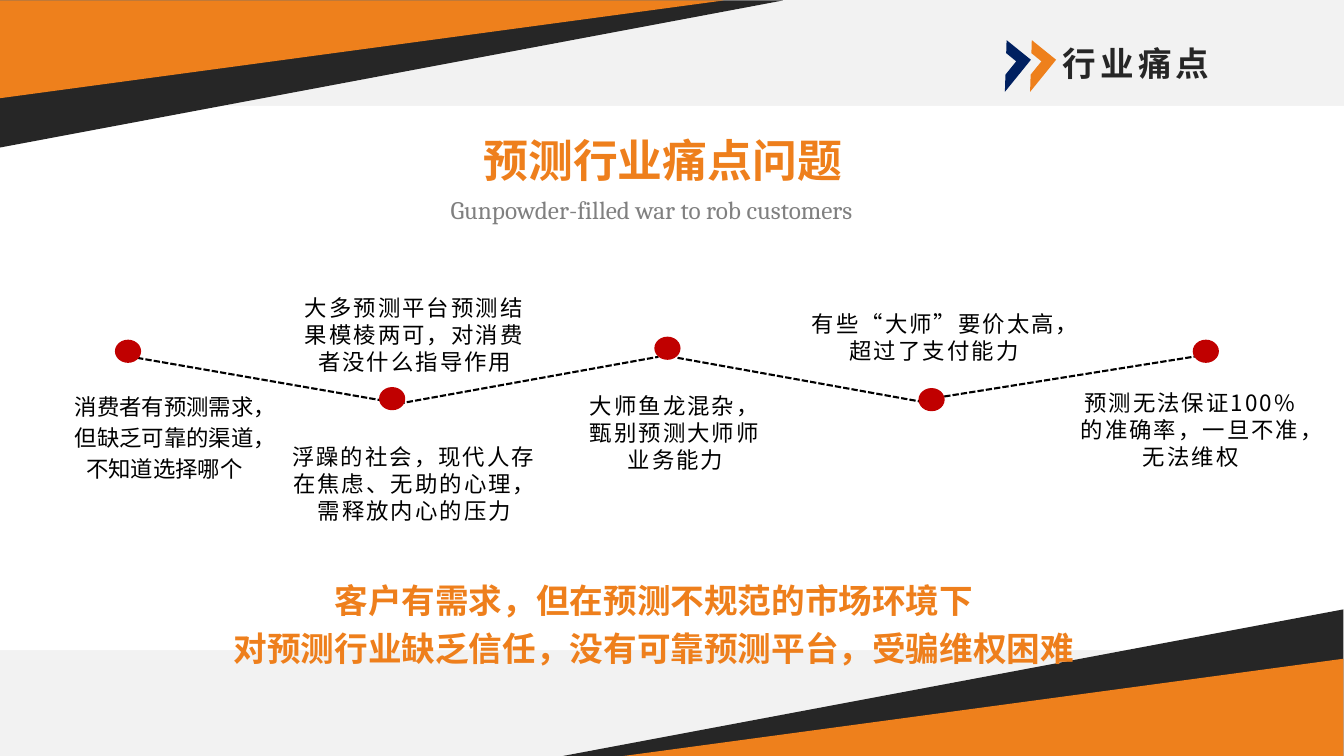
from lxml import etree
from pptx import Presentation
from pptx.dml.color import RGBColor
from pptx.enum.dml import MSO_LINE
from pptx.enum.shapes import MSO_CONNECTOR, MSO_SHAPE
from pptx.enum.text import MSO_ANCHOR, MSO_AUTO_SIZE, PP_ALIGN
from pptx.oxml.ns import qn
from pptx.util import Emu, Pt

RECTANGLE, TRIANGLE = MSO_SHAPE.RECTANGLE, MSO_SHAPE.RIGHT_TRIANGLE
OVAL, CHEVRON = MSO_SHAPE.OVAL, MSO_SHAPE.HALF_FRAME
STRAIGHT, DASH = MSO_CONNECTOR.STRAIGHT, MSO_LINE.SQUARE_DOT
TOP, MIDDLE = MSO_ANCHOR.TOP, MSO_ANCHOR.MIDDLE
LEFT, CENTER = PP_ALIGN.LEFT, PP_ALIGN.CENTER
FIXED, GROW = MSO_AUTO_SIZE.NONE, MSO_AUTO_SIZE.SHAPE_TO_FIT_TEXT

PX = 9144
WIDTH, HEIGHT = 1333, 750
CJK = "Noto Sans CJK SC"
COLORS = {
    "paper": "F2F2F2", "white": "FFFFFF", "charcoal": "262626",
    "orange": "EE801C", "heading": "EE7F1C", "red": "C00000",
    "navy": "002060", "gray": "808080", "black": "000000",
}

CORNERS = [
    (0, 0, 777, 146, 90, "charcoal"),
    (0, 0, 718, 97, 90, "orange"),
    (556, 604, 777, 146, 270, "charcoal"),
    (615, 653, 718, 97, 270, "orange"),
]
LINKS = [
    (136, 355, 389, 399), (387, 402, 653, 354),
    (672, 355, 922, 400), (920, 396, 1196, 352),
]
DOTS = [(114, 337), (376, 384), (649, 334), (911, 385), (1183, 337)]
CAPTIONS = [
    ((284, 287, 255, 91), ["大多预测平台预测结果模棱两可，对消费者没什么指导作用"]),
    ((568, 384, 204, 91), ["大师鱼龙混杂，甄别预测大师师业务能力"]),
    ((786, 303, 281, 64), ["有些“大师”要价太高，超过了支付能力"]),
    ((1056, 381, 250, 91), ["预测无法保证100%的准确率，一旦不准，无法维权"]),
    ((272, 435, 278, 91), ["浮躁的社会，现代人存在焦虑、无助的心理，", "需释放内心的压力"]),
]


class SlideBuilder:
    """Draws styled elements on one slide, measured in px."""

    def __init__(self, presentation):
        self.slide = presentation.slides.add_slide(presentation.slide_layouts[5])

    def box(self, *lengths):
        return [Emu(length * PX) for length in lengths]

    def color(self, name):
        return RGBColor.from_string(COLORS[name])

    def apply(self, target, values):
        for name, value in values.items():
            setattr(target, name, value)

    def background(self, color):
        fill = self.slide.background.fill
        fill.solid()
        fill.fore_color.rgb = self.color(color)

    def shape(self, kind, box, color, rotation=0):
        shape = self.slide.shapes.add_shape(kind, *self.box(*box))
        shape.shadow.inherit = False
        shape.rotation = rotation
        shape.fill.solid()
        shape.fill.fore_color.rgb = self.color(color)
        shape.line.fill.background()

    def corner(self, left, top, width, height, rotation, color):
        shift = (width - height) // 2
        self.shape(TRIANGLE, (left + shift, top - shift, height, width), color, rotation)

    def link(self, *ends):
        connector = self.slide.shapes.add_connector(STRAIGHT, *self.box(*ends))
        self.apply(connector.line, {"width": Pt(1.5), "dash_style": DASH})
        connector.line.color.rgb = self.color("black")
        etree.SubElement(connector.element.spPr, qn("a:effectLst"))

    def title(self, box, lines, **style):
        title = self.slide.shapes.title
        self.slide.shapes.element.append(title.element)
        names = ("left", "top", "width", "height")
        self.apply(title, dict(zip(names, self.box(*box))))
        self.fill_text(title, lines, **style)

    def text(self, box, lines, **style):
        self.fill_text(self.slide.shapes.add_textbox(*self.box(*box)), lines, **style)

    def fill_text(self, shape, lines, size, color, font=CJK, bold=False, spacing=0,
                  line_spacing=1.0, align=CENTER, anchor=TOP, fit=FIXED, wrap=True):
        frame = shape.text_frame
        self.apply(frame, {"word_wrap": wrap, "auto_size": fit, "vertical_anchor": anchor})
        frame.text = "\n".join(lines)
        for paragraph in frame.paragraphs:
            self.apply(paragraph, {"alignment": align, "line_spacing": line_spacing})
            run = paragraph.runs[0]
            self.apply(run.font, {"size": Pt(size), "name": font, "bold": bold})
            run.font.color.rgb = self.color(color)
            properties = run.font._element
            properties.set("lang", "zh-CN")
            properties.set("spc", str(spacing))
            etree.SubElement(properties, qn("a:ea"), typeface=CJK)


def main():
    presentation = Presentation()
    presentation.slide_width = Emu(WIDTH * PX)
    presentation.slide_height = Emu(HEIGHT * PX)
    builder = SlideBuilder(presentation)

    builder.background("paper")
    builder.shape(RECTANGLE, (0, 105, WIDTH, 540), "white")
    for corner in CORNERS:
        builder.corner(*corner)

    for link in LINKS:
        builder.link(*link)
    for left, top in DOTS:
        builder.shape(OVAL, (left, top, 26, 23), "red")

    builder.text((57, 381, 212, 103), ["消费者有预测需求，但缺乏可靠的渠道，不知道选择哪个"],
                 size=16, color="black", line_spacing=1.15, fit=GROW)
    for box, lines in CAPTIONS:
        builder.text(box, lines, size=16, color="black", spacing=150, fit=GROW)

    builder.title((324, 116, 667, 77), ["预测行业痛点问题"],
                  size=32, color="heading", bold=True, line_spacing=1.2)
    builder.text((437, 188, 441, 40), ["Gunpowder-filled war to rob customers"],
                 size=18, color="gray", font="Cambria", align=LEFT, fit=GROW, wrap=False)
    builder.text((222, 562, 853, 131),
                 ["客户有需求，但在预测不规范的市场环境下",
                  "对预测行业缺乏信任，没有可靠预测平台，受骗维权困难"],
                 size=24, color="heading", bold=True, line_spacing=1.2)

    builder.text((1044, 24, 223, 77), ["行业痛点"], size=24, color="charcoal",
                 font="Arial", bold=True, spacing=300, align=LEFT, anchor=MIDDLE)
    for left, color in ((977, "navy"), (1002, "orange")):
        builder.shape(CHEVRON, (left, 50, 41, 31), color, 129)

    presentation.save("out.pptx")


if __name__ == "__main__":
    main()
